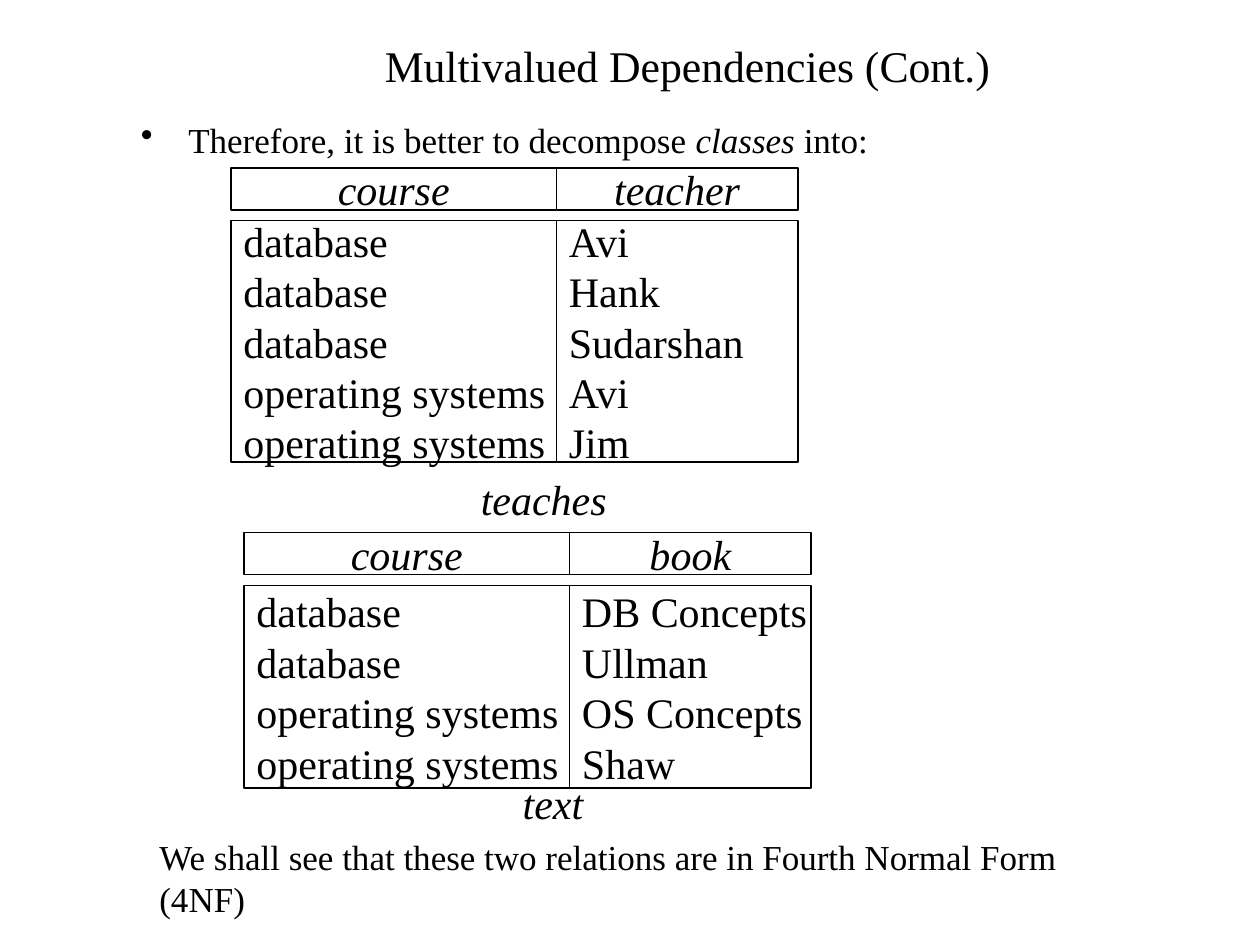
from pptx import Presentation
from pptx.dml.color import RGBColor
from pptx.enum.shapes import MSO_SHAPE
from pptx.enum.text import MSO_ANCHOR, MSO_AUTO_SIZE, PP_ALIGN
from pptx.oxml.xmlchemy import OxmlElement
from pptx.util import Pt

COLORS = {"ink": "000000", "paper": "FFFFFF"}
FONT = "Times New Roman"
COLUMN_WIDTHS = [186, 138]
HEADER_HEIGHT = 24
BODY_OFFSET = 30

presentation = Presentation()
presentation.slide_width = Pt(720)
presentation.slide_height = Pt(540)
slide = presentation.slides.add_slide(presentation.slide_layouts[6])


def write_text(shape, text, size, align=PP_ALIGN.LEFT, italic=False, anchor=MSO_ANCHOR.MIDDLE, wrap=False):
    text_frame = shape.text_frame
    text_frame.text = text
    text_frame.word_wrap = wrap
    text_frame.vertical_anchor = anchor
    for paragraph in text_frame.paragraphs:
        paragraph.alignment = align
        for run in paragraph.runs:
            run.font.name = FONT
            run.font.size = Pt(size)
            run.font.italic = italic
            run.font.color.rgb = RGBColor.from_string(COLORS["ink"])


def add_text_box(left, top, width, height, text, size, **style):
    text_box = slide.shapes.add_textbox(Pt(left), Pt(top), Pt(width), Pt(height))
    write_text(text_box, text, size, **style)
    return text_box


add_text_box(112.3, 12.2, 561, 49.7, "Multivalued Dependencies (Cont.)", 25, align=PP_ALIGN.CENTER, wrap=True)

bullet_box = add_text_box(73.5, 64, 529, 42, "Therefore, it is better to decompose ", 20,
                          anchor=MSO_ANCHOR.TOP, wrap=True)
bullet_paragraph = bullet_box.text_frame.paragraphs[0]
bullet_paragraph.space_before = Pt(5)
for text, italic in [("classes ", True), ("into:", False)]:
    run = bullet_paragraph.add_run()
    run.text = text
    run.font.name = FONT
    run.font.size = Pt(20)
    run.font.italic = italic
    run.font.color.rgb = RGBColor.from_string(COLORS["ink"])
properties = bullet_paragraph._p.get_or_add_pPr()
properties.set("marL", str(Pt(27)))
properties.set("indent", str(Pt(-27)))
bullet = OxmlElement("a:buChar")
bullet.set("char", "•")
properties.append(bullet)

relations = [
    {
        "left": 132, "top": 96, "body_height": 138,
        "columns": [
            ("course", ["database"] * 3 + ["operating systems"] * 2),
            ("teacher", ["Avi", "Hank", "Sudarshan", "Avi", "Jim"]),
        ],
        "caption": ("teaches", 267.5, 267, 86.5),
    },
    {
        "left": 139.5, "top": 304.4, "body_height": 116,
        "columns": [
            ("course", ["database"] * 2 + ["operating systems"] * 2),
            ("book", ["DB Concepts", "Ullman", "OS Concepts", "Shaw"]),
        ],
        "caption": ("text", 291.5, 440.5, 49),
    },
]

for relation in relations:
    top = relation["top"]
    header_style = {"align": PP_ALIGN.CENTER, "italic": True}
    left = relation["left"]
    for (header, values), width in zip(relation["columns"], COLUMN_WIDTHS):
        for text, cell_top, height, style in [
            (header, top, HEADER_HEIGHT, header_style),
            ("\n".join(values), top + BODY_OFFSET, relation["body_height"], {}),
        ]:
            cell = slide.shapes.add_shape(MSO_SHAPE.RECTANGLE, Pt(left), Pt(cell_top), Pt(width), Pt(height))
            cell.shadow.inherit = False
            cell.fill.solid()
            cell.fill.fore_color.rgb = RGBColor.from_string(COLORS["paper"])
            cell.line.color.rgb = RGBColor.from_string(COLORS["ink"])
            cell.line.width = Pt(0.75)
            write_text(cell, text, 24, **style)
        left += width
    name, caption_left, caption_top, caption_width = relation["caption"]
    caption = add_text_box(caption_left, caption_top, caption_width, 36, name, 24, **header_style)
    caption.text_frame.auto_size = MSO_AUTO_SIZE.SHAPE_TO_FIT_TEXT
    caption.text_frame.paragraphs[0].space_before = Pt(15)

add_text_box(84, 474, 529, 42, "We shall see that these two relations are in Fourth Normal Form (4NF)", 20,
             anchor=MSO_ANCHOR.TOP, wrap=True)

presentation.save("out.pptx")
